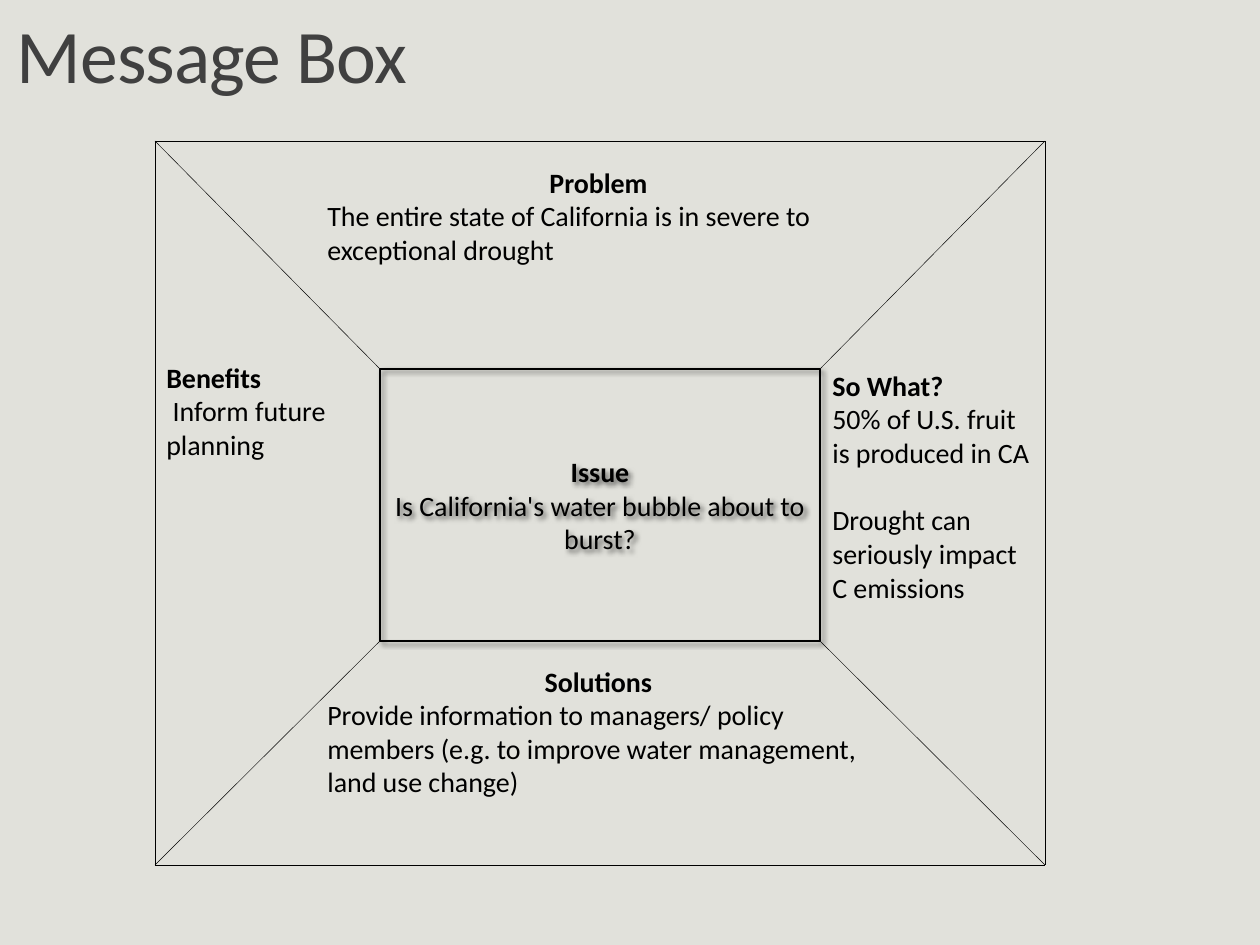
from dataclasses import dataclass
from itertools import pairwise

from lxml.etree import SubElement
from pptx import Presentation
from pptx.dml.color import RGBColor
from pptx.enum.shapes import MSO_CONNECTOR as Connector, MSO_SHAPE as Preset
from pptx.enum.text import MSO_ANCHOR as Anchor, MSO_AUTO_SIZE as AutoSize, PP_ALIGN as Align
from pptx.oxml.ns import qn
from pptx.util import Emu, Pt

PX = 914400 / 126
COLORS = {"background": "E1E1DB", "title": "404040", "ink": "000000"}


@dataclass(frozen=True)
class Area:
    left: int
    top: int
    right: int
    bottom: int

    def corners(self) -> list[tuple[int, int]]:
        return [(self.left, self.top), (self.right, self.top),
                (self.right, self.bottom), (self.left, self.bottom)]

    def bounds(self) -> list[Emu]:
        return [px(self.left), px(self.top),
                px(self.right - self.left), px(self.bottom - self.top)]


@dataclass(frozen=True)
class Message:
    heading: str
    body: tuple[str, ...]
    area: Area
    heading_align: Align = Align.LEFT
    body_align: Align = Align.LEFT
    last_gap: float = 0


OUTER = Area(155, 141, 1045, 865)
INNER = Area(380, 369, 820, 641)
ISSUE = Message("Issue", ("Is California's water bubble about to burst?",),
                INNER, Align.CENTER, Align.CENTER)
MESSAGES = [
    Message("Problem",
            ("The entire state of California is in severe to exceptional drought",),
            Area(315, 159, 882, 274), Align.CENTER),
    Message("So What?",
            ("50% of U.S. fruit", "is produced in CA",
             "Drought can seriously impact C emissions"),
            Area(820, 362, 1045, 612), last_gap=19.5),
    Message("Benefits", (" Inform future planning",), Area(154, 354, 407, 469)),
    Message("Solutions",
            ("Provide information to managers/ policy members "
             "(e.g. to improve water management, land use change)",),
            Area(315, 658, 882, 807), Align.CENTER),
]


def px(length: int) -> Emu:
    return Emu(round(length * PX))


def rgb(name: str) -> RGBColor:
    return RGBColor.from_string(COLORS[name])


def write(para, text: str, *, size: float = 16, color: str = "ink", bold: bool = False,
          align: Align = Align.LEFT, before: float = 0, tracking: int = 0,
          leading: float = 1.0) -> None:
    para.alignment = align
    para.space_before = Pt(before)
    para.line_spacing = leading
    span = para.add_run()
    span.text = text
    span.font.name = "Calibri"
    span.font.size = Pt(size)
    span.font.bold = bold
    span.font.color.rgb = rgb(color)
    if tracking:
        span.font._element.set("spc", str(tracking))


def write_message(shape, message: Message) -> None:
    frame = shape.text_frame
    frame.word_wrap = True
    write(frame.paragraphs[0], message.heading, bold=True, align=message.heading_align)
    for index, text in enumerate(message.body, 1):
        gap = message.last_gap if index == len(message.body) else 0
        write(frame.add_paragraph(), text, align=message.body_align, before=gap)


def add_title(page) -> None:
    title = page.shapes.title
    title.left, title.top, title.width, title.height = Area(4, 20, 533, 105).bounds()
    frame = title.text_frame
    frame.auto_size = AutoSize.NONE
    frame.vertical_anchor = Anchor.BOTTOM
    write(frame.paragraphs[0], "Message Box", size=43.2, color="title",
          tracking=-50, leading=0.85)


def add_issue(page) -> None:
    box = page.shapes.add_shape(Preset.RECTANGLE, *ISSUE.area.bounds())
    box.fill.background()
    box.line.color.rgb = rgb("ink")
    box.line.width = Pt(1)
    box.shadow.inherit = False
    effects = box._element.spPr.find(qn("a:effectLst"))
    shadow = SubElement(effects, qn("a:outerShdw"), blurRad=str(Pt(3)),
                        dist=str(Pt(2)), dir=str(45 * 60000), rotWithShape="0")
    tint = SubElement(shadow, qn("a:srgbClr"), val=COLORS["ink"])
    SubElement(tint, qn("a:alpha"), val="60000")
    box.text_frame.vertical_anchor = Anchor.MIDDLE
    write_message(box, ISSUE)


def add_line(page, start: tuple[int, int], end: tuple[int, int]) -> None:
    line = page.shapes.add_connector(Connector.STRAIGHT, *map(px, start + end))
    line.line.color.rgb = rgb("ink")
    line.line.width = Pt(0.25)
    SubElement(line._element.spPr, qn("a:effectLst"))


def add_message(page, message: Message) -> None:
    box = page.shapes.add_textbox(*message.area.bounds())
    box.text_frame.auto_size = AutoSize.SHAPE_TO_FIT_TEXT
    write_message(box, message)


def main() -> None:
    deck = Presentation()
    deck.slide_width, deck.slide_height = px(1260), px(945)
    page = deck.slides.add_slide(deck.slide_layouts[5])
    page.background.fill.solid()
    page.background.fill.fore_color.rgb = rgb("background")
    add_title(page)
    add_issue(page)
    corners = OUTER.corners()
    for start, end in zip(corners, INNER.corners()):
        add_line(page, start, end)
    for start, end in pairwise(corners + corners[:1]):
        add_line(page, start, end)
    for message in MESSAGES:
        add_message(page, message)
    deck.save("out.pptx")


if __name__ == "__main__":
    main()
